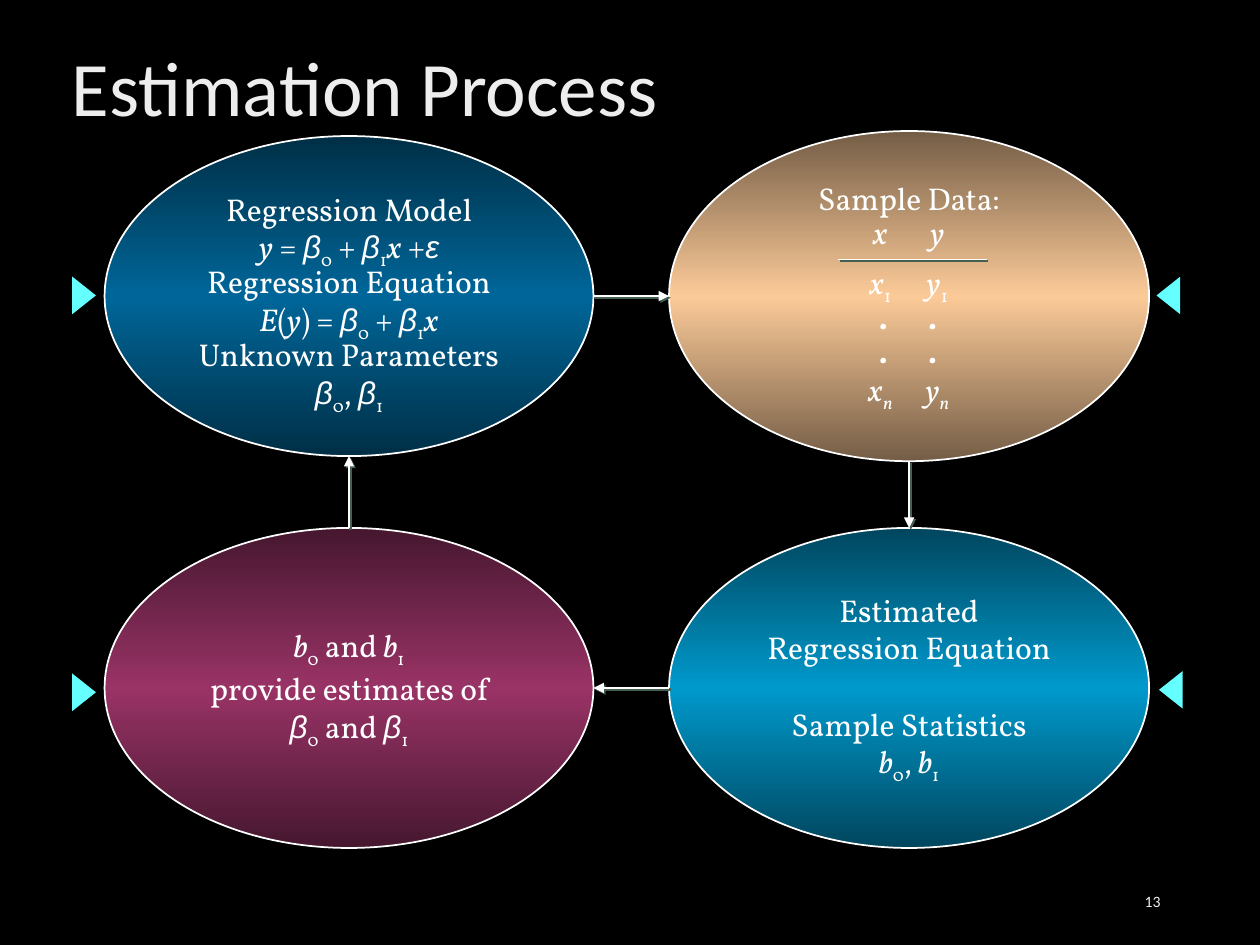
from lxml.etree import SubElement
from pptx import Presentation
from pptx.dml.color import RGBColor
from pptx.enum.shapes import MSO_CONNECTOR, MSO_SHAPE
from pptx.enum.text import MSO_ANCHOR, PP_ALIGN
from pptx.oxml import parse_xml
from pptx.oxml.ns import nsdecls, qn
from pptx.util import Inches, Pt

HEX = {"back": "000000", "white": "FFFFFF", "mark": "66FFFF", "shade": "455F51",
       "model": "006699", "data": "FBCA98", "bounds": "993366", "result": "0099CC",
       "dim": "BFBFBF", "grey": "9E9E9E", "pale": "EDEDED"}

# First sign of a run: * italic, _ subscript, ~ italic subscript, ! bold italic, @ Greek
STYLES = {"*": {"italic": True}, "_": {}, "~": {"italic": True},
          "!": {"italic": True, "bold": True}, "@": {"italic": True, "name": "Arial"}}
BETAS = "@β|_0|{}|@β|_1"

# Left, top, width, height of each ellipse
MODEL = (0.83, 1.08, 3.88, 2.54)
DATA = (5.31, 1.04, 3.81, 2.62)
BOUNDS = (0.83, 4.19, 3.88, 2.54)
RESULT = (5.31, 4.19, 3.81, 2.54)


def color(name):
    return RGBColor.from_string(HEX[name])


def grad(stops, angle):
    """Make a gradient fill from (percent, colour name, shade or None) stops."""
    marks = ""
    for spot, name, shade in stops:
        tone = f'<a:gamma/><a:shade val="{shade}"/><a:invGamma/>' if shade else ""
        marks += f'<a:gs pos="{spot * 1000}"><a:srgbClr val="{HEX[name]}">{tone}</a:srgbClr></a:gs>'
    return parse_xml(f'<a:gradFill {nsdecls("a")} rotWithShape="1"><a:gsLst>{marks}</a:gsLst>'
                     f'<a:lin ang="{angle * 60000}" scaled="0"/></a:gradFill>')


def cast(shape, name):
    """Add a small hard shadow, down and to the right."""
    shape._element.spPr.append(parse_xml(
        f'<a:effectLst {nsdecls("a")}><a:outerShdw dist="17961" dir="2700000" algn="ctr" '
        f'rotWithShape="0"><a:srgbClr val="{HEX[name]}"/></a:outerShdw></a:effectLst>'))


def style(font, **values):
    for key, value in values.items():
        setattr(font, key, value)


def label(shape, text, size, first, angle, align, pitch):
    """Write one line of gradient text in Calibri."""
    frame = shape.text_frame
    frame.word_wrap = True
    frame.vertical_anchor = MSO_ANCHOR.MIDDLE
    para = frame.paragraphs[0]
    para.alignment = align
    para.line_spacing = pitch
    run = para.add_run()
    run.text = text
    style(run.font, size=Pt(size), name="Calibri")
    stops = [(0, first, None), (28, "pale", None), (100, "white", None)]
    run._r.get_or_add_rPr().insert(0, grad(stops, angle))


def write(para, line):
    """Add the runs of a line, split at | and styled by their first sign."""
    for part in line.split("|"):
        run = para.add_run()
        sign = part[0]
        run.text = part[1:] if sign in STYLES else part
        style(run.font, size=Pt(18), name="Vollkorn")
        run.font.color.rgb = color("white")
        style(run.font, **STYLES.get(sign, {}))
        if sign in "_~":
            run._r.get_or_add_rPr().set("baseline", "-25000")


def tabs(para, stops):
    """Set centred tab stops, in inches from the left of the text."""
    para.alignment = PP_ALIGN.LEFT
    group = SubElement(para._p.get_or_add_pPr(), qn("a:tabLst"))
    for stop in stops:
        SubElement(group, qn("a:tab"), pos=str(Inches(stop)), algn="ctr")


def oval(slide, box, name, lines, pitch=1.0, gaps=None, inset=0, wrap=False):
    """Draw a shaded ellipse; gaps maps a line number to the points before it."""
    shape = slide.shapes.add_shape(MSO_SHAPE.OVAL, *map(Inches, box))
    shape.shadow.inherit = False
    stops = [(0, name, 46275), (50, name, None), (100, name, 46275)]
    shape._element.spPr.insert(2, grad(stops, 90))
    shape.line.color.rgb = color("white")
    shape.line.width = Pt(1)
    frame = shape.text_frame
    style(frame, word_wrap=wrap, vertical_anchor=MSO_ANCHOR.MIDDLE, margin_left=0,
          margin_right=0, margin_top=Inches(inset), margin_bottom=0)
    for num, line in enumerate(lines):
        para = frame.add_paragraph() if num else frame.paragraphs[0]
        para.alignment = PP_ALIGN.CENTER
        para.line_spacing = pitch
        if gaps and num in gaps:
            para.space_before = Pt(gaps[num])
        if "\t" in line:
            tabs(para, (1.15, 1.54) if line.startswith("!") else (1.12, 1.57))
        write(para, line)


def rule(slide, start, end, width=1.0, arrow=False):
    line = slide.shapes.add_connector(MSO_CONNECTOR.STRAIGHT, *map(Inches, start + end))
    line.line.color.rgb = color("white")
    line.line.width = Pt(width)
    if arrow:
        SubElement(line.line._get_or_add_ln(), qn("a:tailEnd"), type="triangle")
    cast(line, "shade")


def mark(slide, left, top, turn):
    shape = slide.shapes.add_shape(MSO_SHAPE.ISOSCELES_TRIANGLE,
                                   *map(Inches, (left, top, 0.27, 0.17)))
    shape.rotation = turn
    shape.fill.solid()
    shape.fill.fore_color.rgb = color("mark")
    shape.line.color.rgb = color("mark")
    shape.line.width = Pt(1)
    SubElement(shape.line._get_or_add_ln(), qn("a:miter"), lim="800000")
    cast(shape, "back")


def head(slide):
    title = slide.shapes.title
    spots = zip(("left", "top", "width", "height"), map(Inches, (0.47, 0, 8.62, 1.45)))
    style(title, **dict(spots))
    label(title, "Estimation Process", 44, "dim", 80, PP_ALIGN.LEFT, 0.9)
    page = slide.shapes.add_textbox(*map(Inches, (7.06, 6.95, 2.25, 0.4)))
    label(page, "13", 9, "grey", 90, PP_ALIGN.RIGHT, 1.0)


def cycle(slide):
    """Draw the four steps and the arrows that lead round them."""
    line = "@β|_0| + |@β|_1|*x"
    oval(slide, MODEL, "model", [
        "Regression Model", f"*y| = |{line}| +|@ε", "Regression Equation",
        f"*E|(|*y|) = |{line}", "Unknown Parameters", BETAS.format(", ")],
        pitch=0.9, inset=0.11)
    dots = "!\t.\t."
    oval(slide, DATA, "data", [
        "Sample Data:", "*\tx\ty", "*\tx|_1|*\ty|_1", dots, dots, "*\tx|~n|*\ty|~n"],
        pitch=0.9, gaps={2: 7}, wrap=True)
    rule(slide, (6.65, 2.06), (7.83, 2.06))
    oval(slide, BOUNDS, "bounds", [
        "*b|_0| and |*b|_1", "provide estimates of", BETAS.format(" and ")])
    oval(slide, RESULT, "result", [
        "Estimated", "Regression Equation", "Sample Statistics", "*b|_0|, |*b|_1"],
        gaps={2: 22})

    west, east = MODEL[0] + MODEL[2], DATA[0]
    midwest, mideast = MODEL[0] + MODEL[2] / 2, DATA[0] + DATA[2] / 2
    north, south = DATA[1] + DATA[3] / 2, RESULT[1] + RESULT[3] / 2
    for start, end in [((west, north), (east, north)),
                       ((east, south), (west, south)),
                       ((mideast, DATA[1] + DATA[3]), (mideast, RESULT[1])),
                       ((midwest, BOUNDS[1]), (midwest, MODEL[1] + MODEL[3]))]:
        rule(slide, start, end, 1.5, True)


def main():
    deck = Presentation()
    deck.slide_width, deck.slide_height = Inches(10), Inches(7.5)
    slide = deck.slides.add_slide(deck.slide_layouts[5])
    slide.background.fill.solid()
    slide.background.fill.fore_color.rgb = color("back")
    head(slide)
    cycle(slide)
    for spot in [(0.53, 2.26, 90), (9.14, 2.26, 270), (9.16, 5.39, 270), (0.53, 5.41, 90)]:
        mark(slide, *spot)
    deck.save("out.pptx")


if __name__ == "__main__":
    main()
